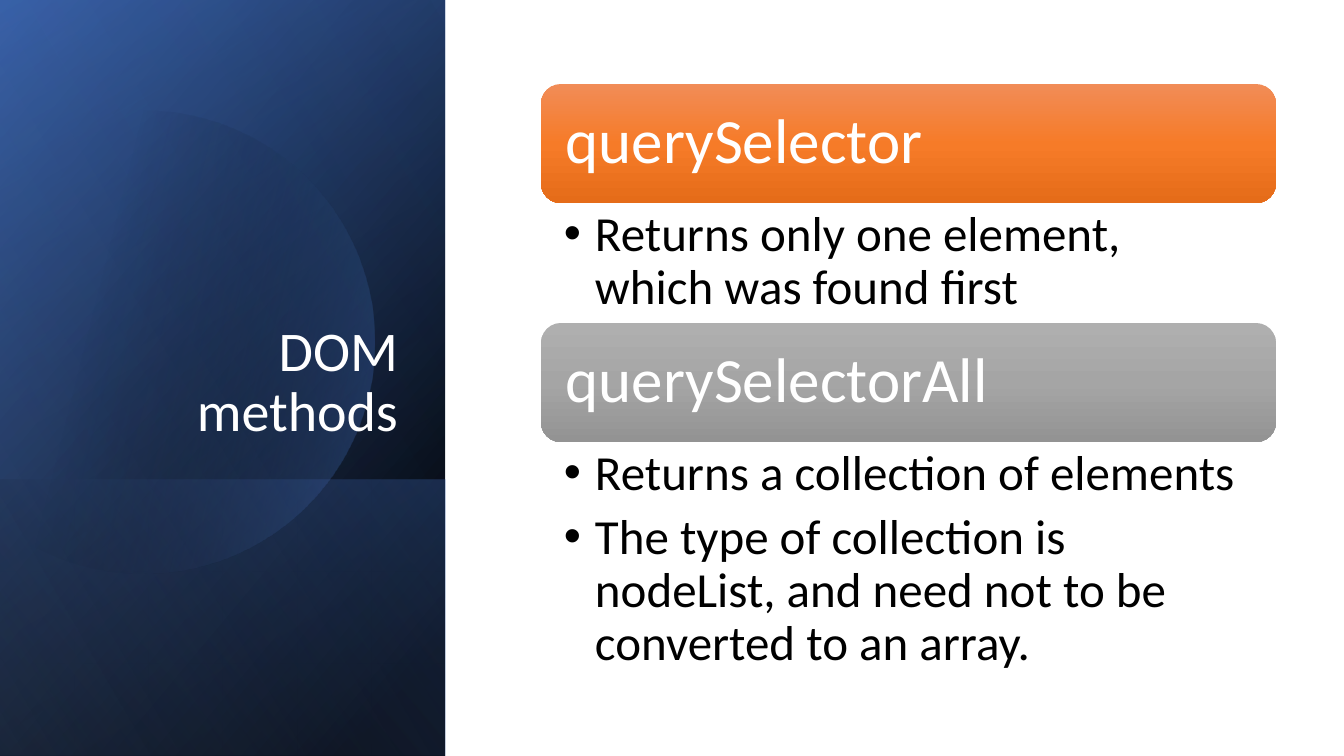
import math
from dataclasses import dataclass

from lxml import etree
from pptx import Presentation
from pptx import util as u
from pptx.dml.color import RGBColor
from pptx.enum import shapes, text
from pptx.oxml import ns

TITLE = "DOM methods"
# heading, heading gradient, height of the bullet area in px, bullets
SECTIONS = [
    ("querySelector", "orange", 120,
     ["Returns only one element, which was found first"]),
    ("querySelectorAll", "gray", 241,
     ["Returns a collection of elements",
      "The type of collection is nodeList, and need not to be converted to an array."]),
]


@dataclass(frozen=True)
class Theme:
    font: str = "Calibri"
    light: str = "FFFFFF"
    dark: str = "000000"
    title_size: int = 40
    heading_size: int = 45
    bullet_size: int = 35
    bullet_gap: int = 8
    line_spacing: float = 0.9


THEME = Theme()
# name: (angle, [(position %, colour, opacity %)])
GRADIENTS = {
    "base": (50, [(8, "000000", 100), (100, "2F5597", 100)]),
    "glow": (30, [(0, "000000", 0), (99, "4472C4", 46)]),
    "foot": (130, [(2, "4472C4", 29), (100, "000000", 30)]),
    "disc": (14, [(29, "000000", 0), (100, "4472C4", 43)]),
    "sheen": (120, [(0, "000000", 0), (99, "8FAADC", 11)]),
    "orange": (90, [(0, "F18C57", 100), (50, "F67B28", 100), (100, "E56C19", 100)]),
    "gray": (90, [(0, "AFAFAF", 100), (50, "A5A5A5", 100), (100, "939393", 100)]),
}

SLIDE_WIDTH, SLIDE_HEIGHT = 1344, 756
PANEL_WIDTH = 445
FOOT_TOP = 480
DISC_X, DISC_Y, DISC_RADIUS = 143, 342, 231
LIST_LEFT, LIST_TOP, LIST_WIDTH = 541, 84, 735
HEADING_HEIGHT = 119
BULLET_INDENT = 31


def px(length):
    return u.Emu(round(length * u.Inches(1) / 100.8))


def paint(shape, gradient):
    """Give the shape a gradient fill, no outline and no shadow."""
    angle, stops = GRADIENTS[gradient]
    shape.shadow.inherit = False
    shape.line.fill.background()
    shape.fill.background()
    fill = etree.Element(ns.qn("a:gradFill"), rotWithShape="1")
    stop_list = etree.SubElement(fill, ns.qn("a:gsLst"))
    for position, color, opacity in stops:
        stop = etree.SubElement(stop_list, ns.qn("a:gs"), pos=str(position * 1000))
        tint = etree.SubElement(stop, ns.qn("a:srgbClr"), val=color)
        if opacity < 100:
            etree.SubElement(tint, ns.qn("a:alpha"), val=str(opacity * 1000))
    etree.SubElement(fill, ns.qn("a:lin"), ang=str(angle * 60000), scaled="0")
    properties = shape.element.spPr
    properties.replace(properties.find(ns.qn("a:noFill")), fill)


def add_panel(slide, top, gradient):
    """Add a mirrored quarter-turned rectangle from top to the slide's foot."""
    height = SLIDE_HEIGHT - top
    shift = (PANEL_WIDTH - height) / 2
    panel = slide.shapes.add_shape(
        shapes.MSO_SHAPE.RECTANGLE,
        px(shift), px(top - shift), px(height), px(PANEL_WIDTH))
    panel.rotation = 90
    panel.element.spPr.get_or_add_xfrm().set("flipH", "1")
    paint(panel, gradient)


def add_disc(slide):
    """Add the circle that the slide's left edge cuts off."""
    limit = math.acos(-DISC_X / DISC_RADIUS)
    steps = 90
    angles = [limit * (2 * step / steps - 1) for step in range(steps + 1)]
    points = [(px(DISC_X + DISC_RADIUS * math.cos(angle)),
               px(DISC_Y + DISC_RADIUS * math.sin(angle))) for angle in angles]
    builder = slide.shapes.build_freeform(*points[0])
    builder.add_line_segments(points[1:], close=True)
    paint(builder.convert_to_shape(), "disc")


def set_frame(shape, anchor, insets):
    frame = shape.text_frame
    frame.word_wrap = True
    frame.vertical_anchor = anchor
    (frame.margin_left, frame.margin_top,
     frame.margin_right, frame.margin_bottom) = map(px, insets)
    return frame


def write(paragraph, words, size, color, align=text.PP_ALIGN.LEFT):
    paragraph.alignment = align
    paragraph.line_spacing = THEME.line_spacing
    run = paragraph.add_run()
    run.text = words
    run.font.name = THEME.font
    run.font.size = u.Pt(size)
    run.font.color.rgb = RGBColor.from_string(color)


def add_bullet(paragraph):
    properties = paragraph._p.get_or_add_pPr()
    properties.set("marL", str(px(BULLET_INDENT)))
    properties.set("indent", str(-px(BULLET_INDENT)))
    etree.SubElement(properties, ns.qn("a:buFont"), typeface="Arial")
    etree.SubElement(properties, ns.qn("a:buChar"), char="•")


def add_section(slide, top, heading, gradient, body_height, bullets):
    bar = slide.shapes.add_shape(
        shapes.MSO_SHAPE.ROUNDED_RECTANGLE,
        px(LIST_LEFT), px(top), px(LIST_WIDTH), px(HEADING_HEIGHT))
    paint(bar, gradient)
    frame = set_frame(bar, text.MSO_ANCHOR.MIDDLE, (19, 19, 19, 19))
    write(frame.paragraphs[0], heading, THEME.heading_size, THEME.light)

    body = slide.shapes.add_textbox(
        px(LIST_LEFT), px(top + HEADING_HEIGHT), px(LIST_WIDTH), px(body_height))
    frame = set_frame(body, text.MSO_ANCHOR.TOP, (23, 6, 35, 6))
    for index, bullet in enumerate(bullets):
        paragraph = frame.add_paragraph() if index else frame.paragraphs[0]
        write(paragraph, bullet, THEME.bullet_size, THEME.dark)
        paragraph.space_after = u.Pt(THEME.bullet_gap)
        add_bullet(paragraph)


def main():
    presentation = Presentation()
    presentation.slide_width = px(SLIDE_WIDTH)
    presentation.slide_height = px(SLIDE_HEIGHT)
    slide = presentation.slides.add_slide(presentation.slide_layouts[6])

    for top, gradient in [(0, "base"), (0, "glow"), (FOOT_TOP, "foot")]:
        add_panel(slide, top, gradient)
    add_disc(slide)
    add_panel(slide, 0, "sheen")

    title = slide.shapes.add_textbox(px(64), px(185), px(344), px(264))
    frame = set_frame(title, text.MSO_ANCHOR.BOTTOM, (10, 5, 10, 5))
    write(frame.paragraphs[0], TITLE, THEME.title_size, THEME.light,
          text.PP_ALIGN.RIGHT)

    top = LIST_TOP
    for heading, gradient, body_height, bullets in SECTIONS:
        add_section(slide, top, heading, gradient, body_height, bullets)
        top += HEADING_HEIGHT + body_height

    presentation.save("out.pptx")


if __name__ == "__main__":
    main()
